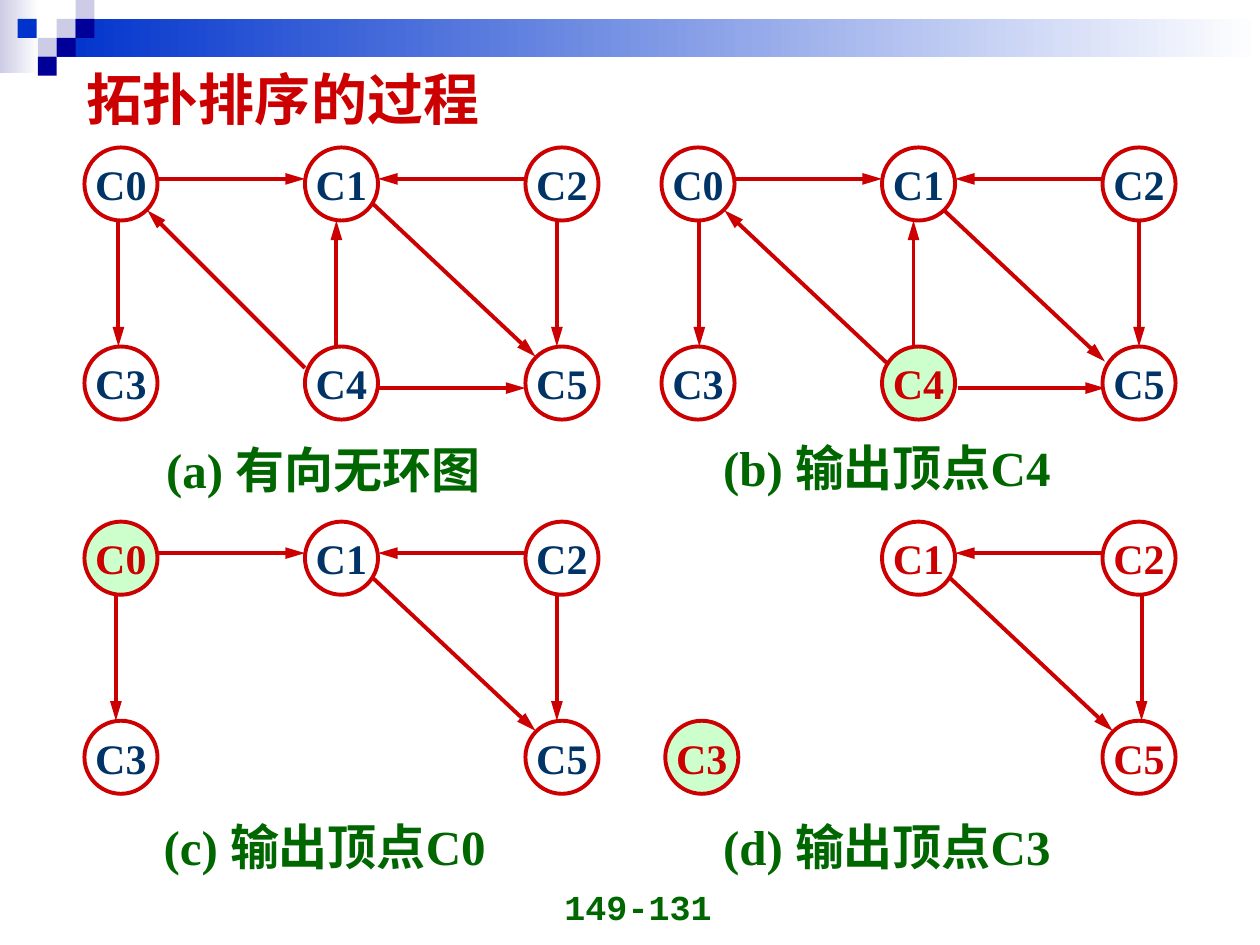
from dataclasses import dataclass, field
from typing import NamedTuple

from lxml.etree import SubElement
from pptx import Presentation
from pptx.dml.color import RGBColor
from pptx.enum.shapes import MSO_CONNECTOR, MSO_SHAPE
from pptx.enum.text import MSO_ANCHOR, MSO_AUTO_SIZE, PP_ALIGN
from pptx.oxml.ns import qn
from pptx.shapes.group import GroupShape
from pptx.slide import Slide
from pptx.text.text import TextFrame
from pptx.util import Inches, Pt


@dataclass(frozen=True)
class Theme:
    """Colours, fonts and type sizes."""
    red: str = "CC0000"
    navy: str = "003366"
    green: str = "006600"
    white: str = "FFFFFF"
    mint: str = "CCFFCC"
    lavender: str = "CCCCE6"
    blue: str = "0033CC"
    indigo: str = "000099"
    serif: str = "Times New Roman"
    mono: str = "Courier New"
    title: int = 32
    caption: int = 28
    vertex: int = 24
    page: int = 20
    stroke: float = 2.25


class Box(NamedTuple):
    """Position and size in inches."""
    left: float
    top: float
    width: float
    height: float


class Route(NamedTuple):
    """Arrow from a start to an end, in inches from the panel's corner."""
    x1: float
    y1: float
    x2: float
    y2: float


@dataclass(frozen=True)
class Panel:
    """One step of the topological sort."""
    left: float
    top: float
    vertices: str
    edges: str
    caption: str
    caption_box: Box
    output: str = ""
    label_color: str = Theme.navy
    rerouted: dict[str, Route] = field(default_factory=dict)
    shifted: dict[str, float] = field(default_factory=dict)


THEME = Theme()
DIAMETER, COLUMN_STEP, ROW_STEP = 0.58, 1.75, 1.58
TILE = 0.15

ROUTES = {
    "C0-C1": Route(0.58, 0.25, 1.75, 0.25),
    "C2-C1": Route(3.5, 0.25, 2.33, 0.25),
    "C0-C3": Route(0.27, 0.58, 0.27, 1.58),
    "C4-C1": Route(2, 1.58, 2, 0.58),
    "C4-C0": Route(1.75, 1.75, 0.5, 0.5),
    "C4-C5": Route(2.33, 1.91, 3.5, 1.91),
    "C2-C5": Route(3.75, 0.58, 3.75, 1.58),
    "C1-C5": Route(2.25, 0.41, 3.58, 1.66),
}
ALL_EDGES = " ".join(ROUTES)
ALL_VERTICES = "C0 C1 C2 C3 C4 C5"

PANELS = (
    Panel(0.67, 1.17, ALL_VERTICES, ALL_EDGES,
          "(a) 有向无环图", Box(1.22, 3.44, 2.9, 0.57)),
    Panel(5.25, 1.17, ALL_VERTICES, ALL_EDGES,
          "(b) 输出顶点C4", Box(5.64, 3.42, 3.1, 0.57), "C4",
          rerouted={
              "C0-C3": Route(0.3, 0.58, 0.3, 1.58),
              "C4-C0": Route(1.83, 1.75, 0.5, 0.5),
              "C4-C5": Route(2.35, 1.91, 3.52, 1.91),
              "C2-C5": Route(3.79, 0.58, 3.79, 1.58),
              "C1-C5": Route(2.19, 0.45, 3.52, 1.7),
          }),
    Panel(0.67, 4.14, "C0 C1 C2 C3 C5", "C0-C1 C2-C1 C0-C3 C2-C5 C1-C5",
          "(c) 输出顶点C0", Box(1.2, 6.43, 3.1, 0.57), "C0",
          rerouted={"C0-C3": Route(0.25, 0.58, 0.25, 1.58)}),
    Panel(5.25, 4.14, "C1 C2 C3 C5", "C2-C1 C2-C5 C1-C5",
          "(d) 输出顶点C3", Box(5.64, 6.43, 3.1, 0.57), "C3", THEME.red,
          rerouted={"C2-C5": Route(3.81, 0.58, 3.81, 1.58)},
          shifted={"C3": 0.03}),
)

BANDS = (
    (Box(0, 0, 0.31, 0.58), THEME.lavender),
    (Box(0.45, 0.15, 9.55, 0.3), THEME.blue),
)
TILES = (
    (0.45, 0.15, THEME.lavender),
    (0.6, 0, THEME.lavender),
    (0.6, 0.15, THEME.indigo),
    (0.3, 0.3, THEME.lavender),
    (0.14, 0.15, THEME.blue),
    (0.45, 0.3, THEME.indigo),
    (0.3, 0.45, THEME.indigo),
)


def rgb(color: str) -> RGBColor:
    """Turn a hex string into a colour."""
    return RGBColor.from_string(color)


def inches(box: Box) -> list[Inches]:
    """Turn a box into lengths."""
    return [Inches(length) for length in box]


def write(frame: TextFrame, text: str, size: int, color: str,
          font: str = THEME.serif, align: PP_ALIGN = PP_ALIGN.LEFT) -> None:
    """Add one bold run to the first paragraph."""
    paragraph = frame.paragraphs[0]
    paragraph.alignment = align
    run = paragraph.add_run()
    run.text = text
    run.font.size = Pt(size)
    run.font.bold = True
    run.font.name = font
    run.font.color.rgb = rgb(color)


def draw_banner(slide: Slide) -> None:
    """Draw the fading bands and the tiles over them."""
    for box, color in BANDS:
        band = slide.shapes.add_shape(MSO_SHAPE.RECTANGLE, *inches(box))
        band.shadow.inherit = False
        band.line.fill.background()
        band.fill.gradient()
        band.fill.gradient_angle = 0
        for stop, shade in zip(band.fill.gradient_stops, (color, THEME.white)):
            stop.color.rgb = rgb(shade)
    for left, top, color in TILES:
        tile = slide.shapes.add_shape(
            MSO_SHAPE.RECTANGLE, *inches(Box(left, top, TILE, TILE)))
        tile.shadow.inherit = False
        tile.line.fill.background()
        tile.fill.solid()
        tile.fill.fore_color.rgb = rgb(color)


def draw_edge(graph: GroupShape, panel: Panel, edge: str) -> None:
    """Draw one directed edge."""
    route = panel.rerouted.get(edge, ROUTES[edge])
    arrow = graph.shapes.add_connector(
        MSO_CONNECTOR.STRAIGHT,
        Inches(panel.left + route.x1), Inches(panel.top + route.y1),
        Inches(panel.left + route.x2), Inches(panel.top + route.y2))
    arrow.line.color.rgb = rgb(THEME.red)
    arrow.line.width = Pt(THEME.stroke)
    SubElement(arrow.line._get_or_add_ln(), qn("a:tailEnd"),
               type="triangle", w="med", len="lg")
    SubElement(arrow._element.spPr, qn("a:effectLst"))


def draw_vertex(graph: GroupShape, panel: Panel, vertex: str) -> None:
    """Draw one vertex in its grid place, tinted if it is being output."""
    row, column = divmod(int(vertex[1]), 3)
    left = panel.left + column * COLUMN_STEP + panel.shifted.get(vertex, 0)
    circle = graph.shapes.add_shape(MSO_SHAPE.OVAL, *inches(
        Box(left, panel.top + row * ROW_STEP, DIAMETER, DIAMETER)))
    is_output = vertex == panel.output
    circle.shadow.inherit = False
    circle.fill.solid()
    circle.fill.fore_color.rgb = rgb(THEME.mint if is_output else THEME.white)
    circle.line.color.rgb = rgb(THEME.red)
    circle.line.width = Pt(THEME.stroke)
    circle.text_frame.word_wrap = False
    circle.text_frame.vertical_anchor = MSO_ANCHOR.MIDDLE
    write(circle.text_frame, vertex, THEME.vertex,
          THEME.red if is_output else panel.label_color, align=PP_ALIGN.CENTER)


def draw_panel(slide: Slide, panel: Panel) -> None:
    """Draw a graph and its caption."""
    graph = slide.shapes.add_group_shape()
    for edge in panel.edges.split():
        draw_edge(graph, panel, edge)
    for vertex in panel.vertices.split():
        draw_vertex(graph, panel, vertex)
    caption = slide.shapes.add_textbox(*inches(panel.caption_box)).text_frame
    caption.word_wrap = True
    write(caption, panel.caption, THEME.caption, THEME.green)


def main() -> None:
    """Build the slide and save it."""
    deck = Presentation()
    deck.slide_width, deck.slide_height = Inches(10), Inches(7.5)
    slide = deck.slides.add_slide(deck.slide_layouts[5])
    draw_banner(slide)
    title = slide.shapes.title
    title.left, title.top, title.width, title.height = inches(
        Box(0.59, 0.4, 4.17, 0.75))
    title.text_frame.auto_size = MSO_AUTO_SIZE.NONE
    title.text_frame.vertical_anchor = MSO_ANCHOR.MIDDLE
    write(title.text_frame, "拓扑排序的过程", THEME.title, THEME.red)
    for panel in PANELS:
        draw_panel(slide, panel)
    page = slide.shapes.add_textbox(*inches(Box(3.9, 6.91, 2.33, 0.5))).text_frame
    page.word_wrap = True
    page.vertical_anchor = MSO_ANCHOR.BOTTOM
    write(page, "149-131", THEME.page, THEME.green, THEME.mono, PP_ALIGN.CENTER)
    deck.save("out.pptx")


if __name__ == "__main__":
    main()
